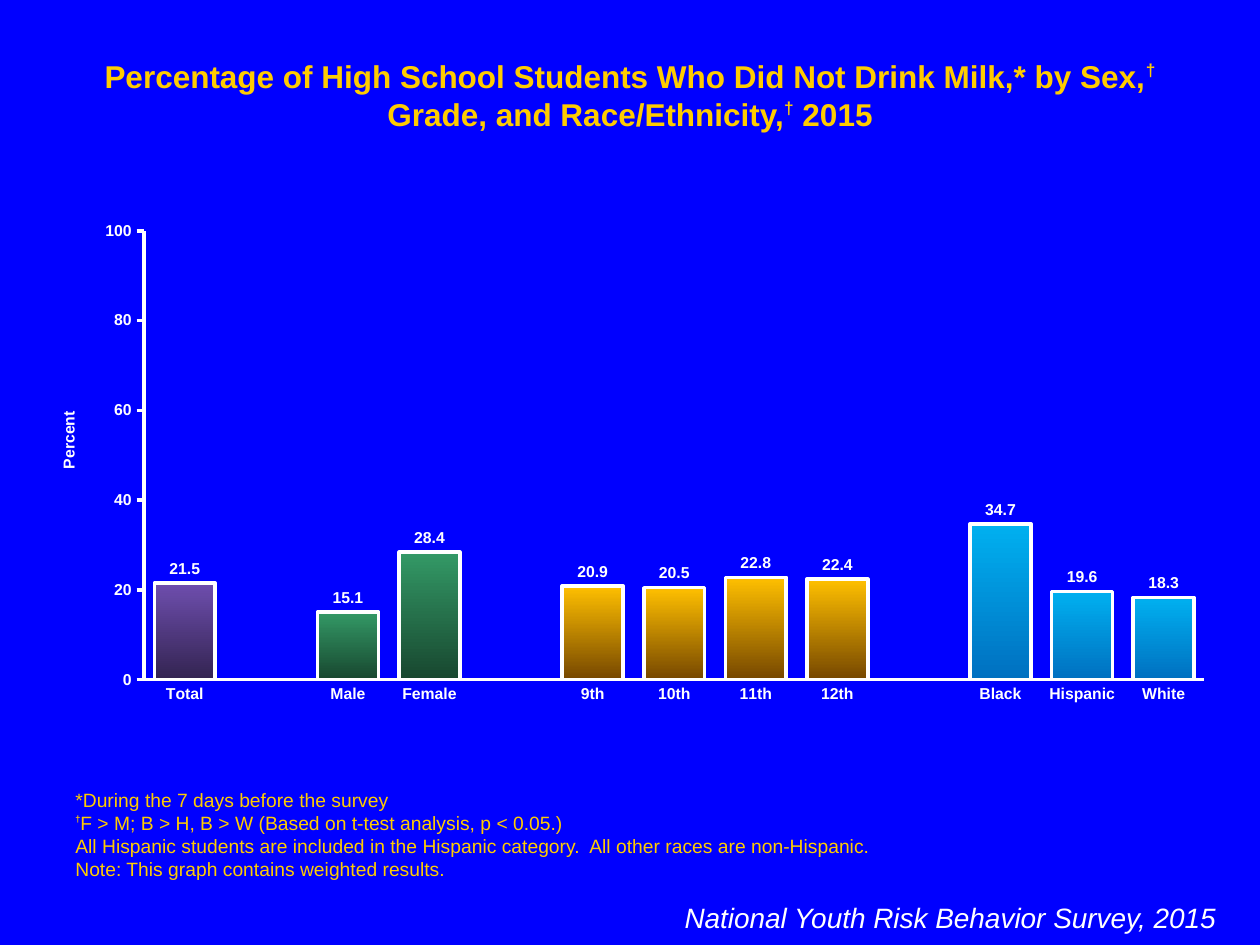
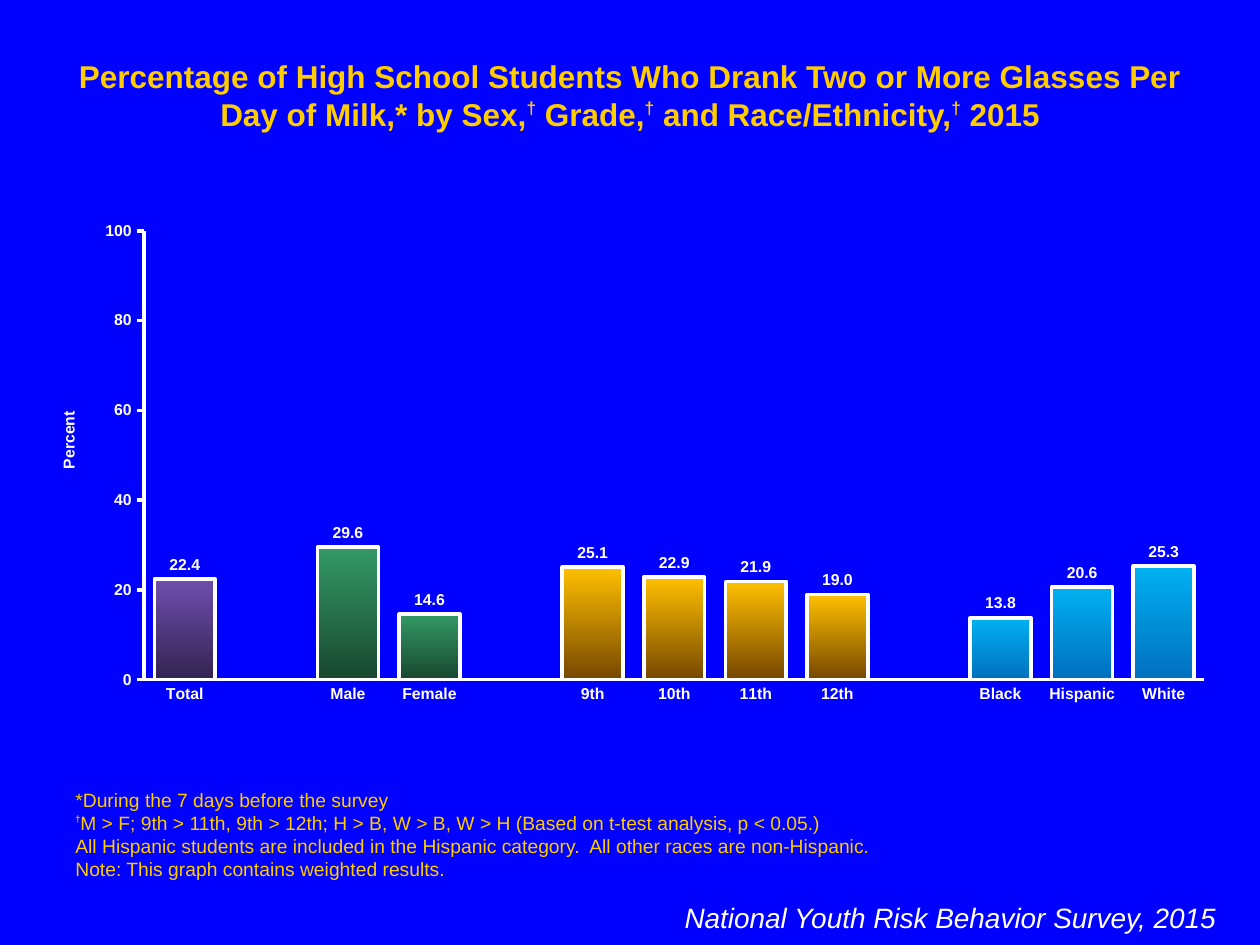
from dataclasses import dataclass

from lxml import etree
from pptx import Presentation
from pptx.chart.data import CategoryChartData
from pptx.dml.color import RGBColor as RGB
from pptx.enum.chart import XL_CHART_TYPE as Kind
from pptx.enum.chart import XL_LABEL_POSITION as Spot
from pptx.enum.chart import XL_TICK_MARK as Tick
from pptx.enum.text import MSO_ANCHOR as Anchor
from pptx.enum.text import MSO_AUTO_SIZE as Fit
from pptx.enum.text import PP_ALIGN as Align
from pptx.oxml.ns import qn
from pptx.util import Inches, Pt

DAGGER = "†"
SOURCE = "National Youth Risk Behavior Survey, 2015"

# Each group: top colour, bottom colour, labels
GROUPS = [
    ("6E4EAE", "332451", ["Total"]),
    ("339966", "18472F", ["Male", "Female"]),
    ("FFC000", "764700", ["9th", "10th", "11th", "12th"]),
    ("00B0F0", "0070C0", ["Black", "Hispanic", "White"]),
]

SLIDES = [
    {
        "title": "Percentage of High School Students Who Did Not Drink Milk,* "
                 "by Sex,† Grade, and Race/Ethnicity,† 2015",
        "tests": "F > M; B > H, B > W",
        "values": [[21.5], [15.1, 28.4], [20.9, 20.5, 22.8, 22.4],
                   [34.7, 19.6, 18.3]],
    },
    {
        "title": "Percentage of High School Students Who Drank Two or More "
                 "Glasses Per Day of Milk,* by Sex,† Grade,† and "
                 "Race/Ethnicity,† 2015",
        "tests": "M > F; 9th > 11th, 9th > 12th; H > B, W > B, W > H",
        "values": [[22.4], [29.6, 14.6], [25.1, 22.9, 21.9, 19.0],
                   [13.8, 20.6, 25.3]],
    },
]

NOTES = [
    "*During the 7 days before the survey",
    "†{tests} (Based on t-test analysis, p < 0.05.)",
    "All Hispanic students are included in the Hispanic category.  "
    "All other races are non-Hispanic.",
    "Note: This graph contains weighted results.",
]


@dataclass(frozen=True)
class Theme:
    face: str = "Arial"
    back: RGB = RGB.from_string("0000FF")
    gold: RGB = RGB.from_string("FFCC00")
    white: RGB = RGB.from_string("FFFFFF")
    title: int = 18
    note: int = 11
    source: int = 16
    chart: int = 9
    line: int = 2


THEME = Theme()


def style(font, size, color, bold=False, italic=False):
    font.name = THEME.face
    font.size = Pt(size)
    font.color.rgb = color
    font.bold = bold
    font.italic = italic


def write(para, text, size=None, rise=None):
    """Add text to a paragraph, raising every dagger by rise percent."""
    for i, part in enumerate(text.split(DAGGER)):
        if i:
            run = para.add_run()
            run.text = DAGGER
            run.font.size = Pt(size)
            run.font.bold = True
            run.font._element.set("baseline", str(rise * 1000))
        if part:
            para.add_run().text = part


def place(shape, left, top, width, height):
    shape.left, shape.top = Inches(left), Inches(top)
    shape.width, shape.height = Inches(width), Inches(height)


def set_frame(shape, anchor):
    frame = shape.text_frame
    frame.word_wrap = True
    frame.auto_size = Fit.NONE
    frame.vertical_anchor = anchor
    return frame


def add_title(slide, text):
    shape = slide.shapes.title
    place(shape, 0.5, 0.4, 9, 0.7)
    para = set_frame(shape, Anchor.TOP).paragraphs[0]
    para.alignment = Align.CENTER
    style(para.font, THEME.title, THEME.gold, bold=True)
    write(para, text, 17, 40)


def add_box(slide, area, anchor):
    box = slide.shapes.add_textbox(*map(Inches, area))
    return set_frame(box, anchor)


def add_notes(slide, tests):
    frame = add_box(slide, (0.5, 6.2, 9, 0.84), Anchor.BOTTOM)
    for i, note in enumerate(NOTES):
        para = frame.add_paragraph() if i else frame.paragraphs[0]
        style(para.font, THEME.note, THEME.gold)
        write(para, note.format(tests=tests), 9, 50)


def add_source(slide):
    para = add_box(slide, (4.25, 7.1, 5.5, 0.35), Anchor.TOP).paragraphs[0]
    para.alignment = Align.RIGHT
    style(para.font, THEME.source, THEME.white, italic=True)
    write(para, SOURCE)


def set_layout(parent, index, **parts):
    """Fix the place of a chart part, in fractions of the chart."""
    for old in parent.findall(qn("c:layout")):
        parent.remove(old)
    layout = etree.Element(qn("c:layout"))
    manual = etree.SubElement(layout, qn("c:manualLayout"))
    for tag, value in parts.items():
        etree.SubElement(manual, qn(f"c:{tag}")).set("val", str(value))
    parent.insert(index, layout)


def spread(lists, gap):
    """Join the lists with one gap between neighbours."""
    flat = []
    for i, items in enumerate(lists):
        flat += ([gap] if i else []) + list(items)
    return flat


def set_line(line):
    line.color.rgb = THEME.white
    line.width = Pt(THEME.line)


def paint(series):
    tones = spread([[(top, low)] * len(cats) for top, low, cats in GROUPS],
                   None)
    for i, pair in enumerate(tones):
        if pair is None:
            continue
        form = series.points[i].format
        form.fill.gradient()
        form.fill.gradient_angle = 270
        for stop, tone, pos in zip(form.fill.gradient_stops, pair, (0, 1)):
            stop.color.rgb = RGB.from_string(tone)
            stop.position = pos
        set_line(form.line)


def set_axes(chart):
    cat, val = chart.category_axis, chart.value_axis
    for axis, tick in ((cat, Tick.NONE), (val, Tick.OUTSIDE)):
        axis.has_major_gridlines = False
        axis.major_tick_mark = tick
        axis.minor_tick_mark = Tick.NONE
        style(axis.tick_labels.font, THEME.chart, THEME.white, bold=True)
        set_line(axis.format.line)
    val.minimum_scale, val.maximum_scale, val.major_unit = 0, 100, 20
    val.tick_labels.number_format = "General"
    val.tick_labels.number_format_is_linked = False

    title = val.axis_title
    frame = title.text_frame
    para = frame.paragraphs[0]
    style(para.font, THEME.chart, THEME.white, bold=True)
    para.add_run().text = "Percent"
    frame._txBody.bodyPr.set("rot", "-5400000")
    frame._txBody.bodyPr.set("vert", "horz")
    set_layout(title._element, 1, xMode="edge", yMode="edge", x=0.02, y=0.39)


def add_bars(slide, values):
    data = CategoryChartData(number_format="General")
    data.categories = spread([cats for _, _, cats in GROUPS], "")
    data.add_series("Series 1", spread(values, None))
    area = map(Inches, (0.25, 1.69, 9.5, 3.98))
    chart = slide.shapes.add_chart(Kind.COLUMN_CLUSTERED, *area, data).chart
    chart.has_title = chart.has_legend = False
    style(chart.font, THEME.chart, THEME.white, bold=True)
    set_axes(chart)

    plot = chart.plots[0]
    plot.gap_width, plot.overlap = 34, 100
    plot.vary_by_categories = False
    plot.has_data_labels = True
    labels = plot.data_labels
    labels.show_value = True
    labels.position = Spot.OUTSIDE_END
    labels.number_format = "#,##0.0"
    labels.number_format_is_linked = False
    style(labels.font, THEME.chart, THEME.white, bold=True)
    paint(plot.series[0])
    set_layout(chart._chartSpace.chart.plotArea, 0, layoutTarget="inner",
               xMode="edge", yMode="edge", x=0.094, y=0.036, w=0.886, h=0.895)


def main():
    prs = Presentation()
    prs.slide_width, prs.slide_height = Inches(10), Inches(7.5)
    back = prs.slide_master.background.fill
    back.solid()
    back.fore_color.rgb = THEME.back
    for item in SLIDES:
        slide = prs.slides.add_slide(prs.slide_layouts[5])
        add_title(slide, item["title"])
        add_notes(slide, item["tests"])
        add_source(slide)
        add_bars(slide, item["values"])
    prs.save("out.pptx")


if __name__ == "__main__":
    main()
